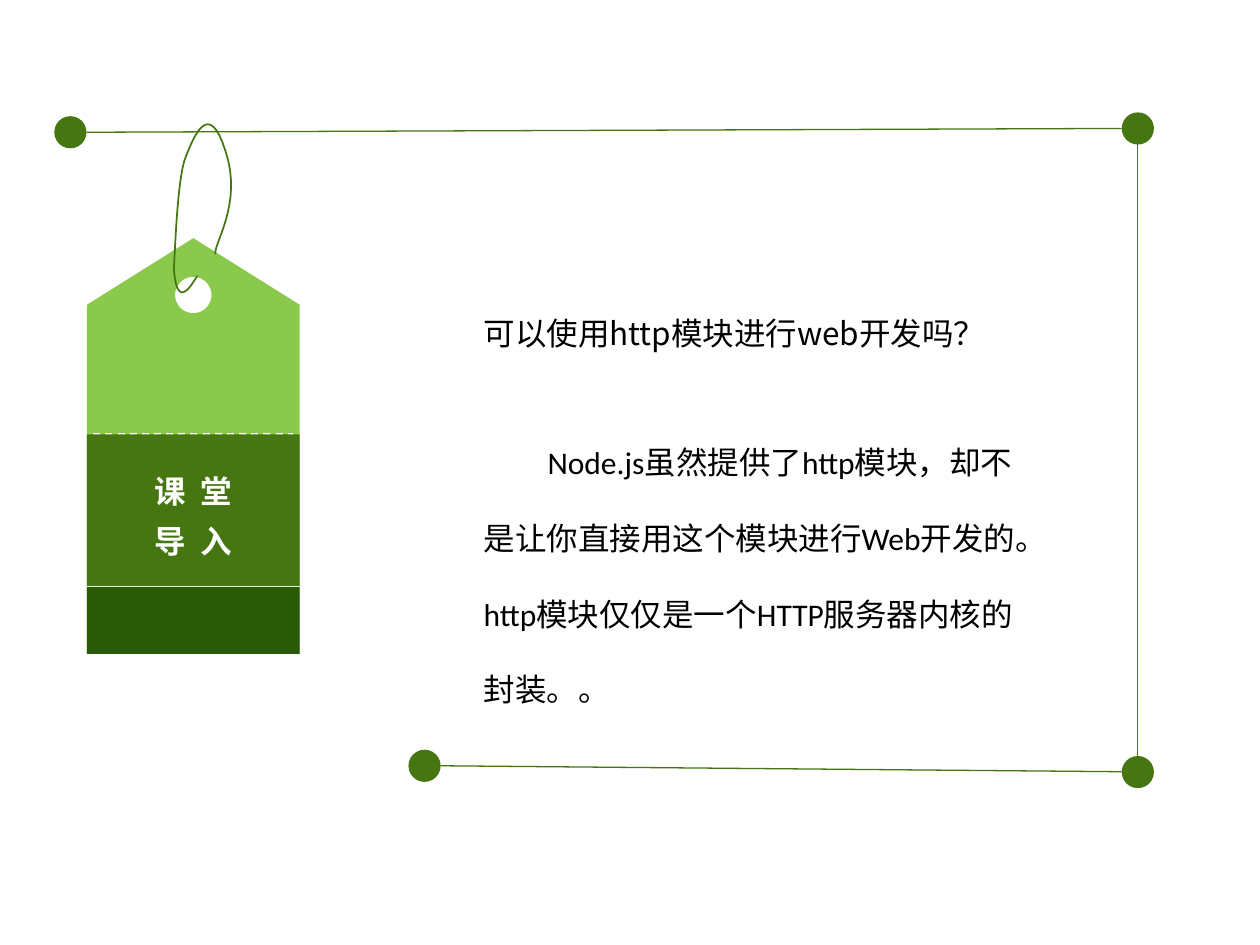
from math import cos, pi, sin

from lxml import etree
from pptx import Presentation
from pptx import util as u
from pptx.dml.color import RGBColor
from pptx.enum import dml, shapes, text
from pptx.oxml.ns import qn

Pt = u.Pt
LIGHT = RGBColor(0x8B, 0xC9, 0x4C)
GREEN = RGBColor(0x46, 0x76, 0x12)
DARK = RGBColor(0x29, 0x5A, 0x07)
WHITE = RGBColor(255, 255, 255)
BLACK = RGBColor(0, 0, 0)
SANS, LATIN = "Noto Sans CJK SC", "Calibri"

# Content
LABEL = ["课 堂", "导 入"]
ASK = [("可以使用http模块进行web开发吗？", SANS)]
REPLY = [
    ("Node.js虽然提供了http模块，却不是让你直接用这个模块进行Web开发的。"
     "http模块仅仅是一个HTTP服务器内核的封装。", LATIN),
    ("。", SANS),
]

# Tag: edges from top to bottom, hole, and string as Bezier points
LEFT, WIDE = 49.7, 121.6
TOP, EDGE, BAND, BASE, FOOT = 136.1, 174.2, 248.2, 335, 373.7
RIGHT, MID = LEFT + WIDE, LEFT + WIDE / 2
HOLE = (MID, 168.6, 10.4)
STRING = [(112.9, 158.1), (112.9, 155.5), (101.5, 182.2), (99.4, 154.1),
          (100.1, 141.1), (101.5, 100.1), (106.3, 89.3),
          (110.9, 77.8), (119.5, 56.2), (128.9, 86.4),
          (139, 116.6), (121.7, 139.7), (123.1, 145.4)]

# Frame: dot centres and the lines between them
RAD = 9.2
DOTS = [(40.2, 75.6), (650.2, 73.4), (242.6, 437.6), (650.2, 441.2)]
LINES = [(49.4, 75.6, 641, 73.4), (251.8, 437.6, 641, 441),
         (650.2, 80.6, 650.2, 437.8)]


def paint(shape, fill):
    shape.shadow.inherit = False
    shape.fill.solid()
    shape.fill.fore_color.rgb = fill
    shape.line.fill.background()
    return shape


def block(host, kind, x, y, w, h, fill):
    return paint(host.add_shape(kind, Pt(x), Pt(y), Pt(w), Pt(h)), fill)


def rule(host, x1, y1, x2, y2, color, width=0.75):
    line = host.add_connector(shapes.MSO_CONNECTOR.STRAIGHT,
                              Pt(x1), Pt(y1), Pt(x2), Pt(y2))
    line.line.color.rgb = color
    line.line.width = Pt(width)
    etree.SubElement(line._element.spPr, qn("a:effectLst"))
    return line


def outline(host, rings, close=True):
    rings = [[(Pt(x), Pt(y)) for x, y in ring] for ring in rings]
    pen = host.build_freeform(*rings[0][0], scale=1.0)
    for i, ring in enumerate(rings):
        if i:
            pen.move_to(*ring[0])
        pen.add_line_segments(ring[1:], close=close)
    return pen.convert_to_shape()


def curve(pts, steps=16):
    out = [pts[0]]
    for i in range(0, len(pts) - 1, 3):
        for n in range(1, steps + 1):
            t = n / steps
            mix = ((1 - t) ** 3, 3 * t * (1 - t) ** 2,
                   3 * t * t * (1 - t), t ** 3)
            out.append(tuple(sum(m * p[k] for m, p in zip(mix, pts[i:i + 4]))
                             for k in (0, 1)))
    return out


def style(run, font, color, bold=False):
    run.font.size = Pt(18)
    run.font.name = font
    run.font.bold = bold
    run.font.color.rgb = color
    east = etree.SubElement(run.font._element, qn("a:ea"))
    east.set("typeface", SANS)


def prose(host, y, h, runs, indent=0):
    frame = host.add_textbox(Pt(269.3), Pt(y), Pt(329.8), Pt(h)).text_frame
    frame.word_wrap = True
    para = frame.paragraphs[0]
    para.line_spacing = 2.0
    para._p.get_or_add_pPr().set("indent", str(Pt(indent)))
    for words, font in runs:
        run = para.add_run()
        run.text = words
        style(run, font, BLACK)


def tag(host):
    rect = shapes.MSO_SHAPE.RECTANGLE
    x, y, r = HOLE
    ring = [(x + r * sin(2 * pi * n / 48), y - r * cos(2 * pi * n / 48))
            for n in range(48)]
    # The hole turns against the body
    body = [(MID, TOP), (LEFT, EDGE), (LEFT, FOOT),
            (RIGHT, FOOT), (RIGHT, EDGE)]
    paint(outline(host, [body, ring]), LIGHT)
    block(host, rect, LEFT, BASE, WIDE, FOOT - BASE, DARK)
    rule(host, LEFT, BASE, RIGHT, BASE, WHITE)
    seam = rule(host, LEFT + 3.6, BAND, RIGHT - 4, BAND, WHITE, 1)
    seam.line.dash_style = dml.MSO_LINE.DASH

    # Label
    band = block(host, rect, LEFT, BAND, WIDE, BASE - BAND, GREEN)
    frame = band.text_frame
    frame.margin_left = frame.margin_right = Pt(4.3)
    frame.margin_top = frame.margin_bottom = Pt(3.6)
    frame.vertical_anchor = text.MSO_ANCHOR.MIDDLE
    frame.text = "\n".join(LABEL)
    for para in frame.paragraphs:
        para.alignment = text.PP_ALIGN.CENTER
        para.line_spacing = 1.3
        style(para.runs[0], SANS, WHITE, True)
        para.runs[0].font._element.set("spc", "200")

    # String
    loop = outline(host, [curve(STRING)], close=False)
    loop.shadow.inherit = False
    loop.fill.background()
    loop.line.color.rgb = GREEN
    loop.line.width = Pt(1)


def main():
    deck = Presentation()
    deck.slide_width, deck.slide_height = Pt(720), Pt(540)
    host = deck.slides.add_slide(deck.slide_layouts[6]).shapes
    tag(host.add_group_shape().shapes)

    # Frame
    for x, y in DOTS:
        block(host, shapes.MSO_SHAPE.OVAL, x - RAD, y - RAD,
              2 * RAD, 2 * RAD, GREEN)
    for ends in LINES:
        rule(host, *ends, GREEN)

    # Question and answer
    prose(host, 228.2, 181.4, REPLY, indent=36.5)
    prose(host, 154.1, 43.2, ASK)
    deck.save("out.pptx")


if __name__ == "__main__":
    main()
